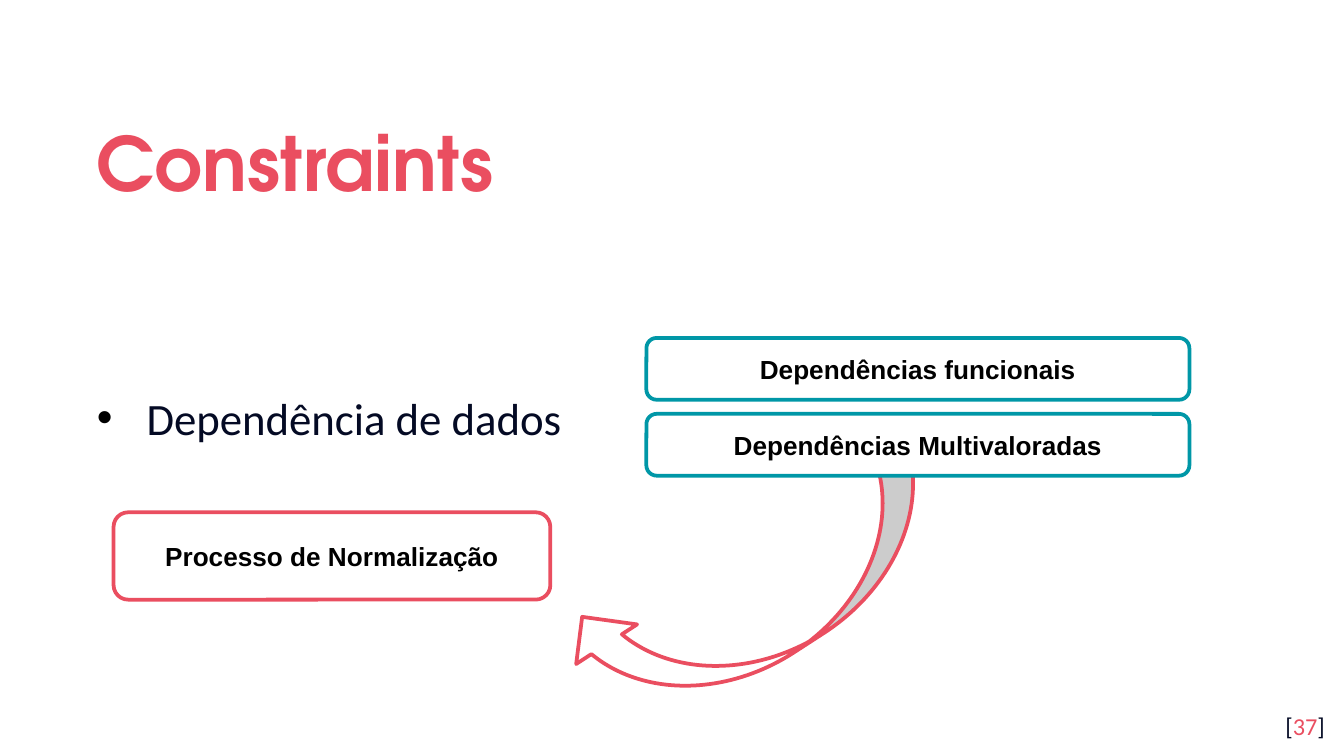
from dataclasses import dataclass

from lxml.etree import SubElement
from pptx import Presentation
from pptx.dml.color import RGBColor
from pptx.enum.shapes import MSO_SHAPE as Preset
from pptx.enum.text import MSO_ANCHOR as Anchor, MSO_AUTO_SIZE as AutoSize, PP_ALIGN as Align
from pptx.oxml.ns import qn
from pptx.util import Inches, Pt

CORAL = RGBColor(0xEA, 0x4E, 0x60)
TEAL = RGBColor(0x00, 0x97, 0xA7)
NAVY = RGBColor(0x04, 0x0A, 0x24)
BLACK = RGBColor(0, 0, 0)
WHITE = RGBColor(0xFF, 0xFF, 0xFF)

CELL = Inches(0.1)  # the grid has 100 columns across the page
PAGE_WIDTH = 100 * CELL
PAGE_HEIGHT = PAGE_WIDTH * 9 // 16


@dataclass(frozen=True)
class Area:
    """A place on the grid, in columns and rows."""
    column: float
    row: float
    columns: float
    rows: float

    def lengths(self) -> list[int]:
        return [round(n * CELL) for n in (self.column, self.row, self.columns, self.rows)]


@dataclass(frozen=True)
class Label:
    text: str
    area: Area
    border: RGBColor


TITLE_AREA = Area(6.2, 6.95, 87.7, 9.2)
BODY_AREA = Area(6.2, 16.2, 87.7, 33.7)
NUMBER_AREA = Area(93.55, 51.95, 6, 4.3)
ARROW_AREA = Area(51.3, 28.5, 10.8, 30.3)
LABELS = [
    Label("Processo de Normalização", Area(8.45, 38.12, 32.5, 6.5), CORAL),
    *(Label(f"Dependências {kind}", Area(48.1, 25.15 + 5.65 * index, 40.4, 4.6), TEAL)
      for index, kind in enumerate(["funcionais", "Multivaloradas"])),
]


def set_all(target, values: dict) -> None:
    for name, value in values.items():
        setattr(target, name, value)


def place(shape, area: Area) -> None:
    set_all(shape, dict(zip(("left", "top", "width", "height"), area.lengths())))


def format_frame(frame, anchor: Anchor, inset: float = 0.1) -> None:
    sides = ("margin_left", "margin_top", "margin_right", "margin_bottom")
    set_all(frame, {"word_wrap": True, "auto_size": AutoSize.NONE, "vertical_anchor": anchor,
                    **dict.fromkeys(sides, Inches(inset))})


def add_span(para, text: str, face: str, size: float, color: RGBColor, bold: bool = False) -> None:
    span = para.add_run()
    span.text = text
    set_all(span.font, {"name": face, "size": Pt(size), "bold": bold})
    span.font.color.rgb = color


def add_bullet(para, indent: float) -> None:
    properties = para._p.get_or_add_pPr()
    properties.set("marL", str(Inches(indent)))
    properties.set("indent", str(-Inches(indent)))
    color = SubElement(properties, qn("a:buClr"))
    SubElement(color, qn("a:srgbClr"), val=str(BLACK))
    SubElement(properties, qn("a:buFont"), typeface="Arial")
    SubElement(properties, qn("a:buChar"), char="•")


def add_outlined(page, preset: Preset, area: Area, border: RGBColor):
    shape = page.shapes.add_shape(preset, *area.lengths())
    shape.shadow.inherit = False
    shape.fill.solid()
    shape.fill.fore_color.rgb = WHITE
    shape.line.color.rgb = border
    shape.line.width = Pt(2)
    return shape


def add_label(page, label: Label) -> None:
    box = add_outlined(page, Preset.ROUNDED_RECTANGLE, label.area, label.border)
    format_frame(box.text_frame, Anchor.MIDDLE, 0.05)
    para = box.text_frame.paragraphs[0]
    para.alignment = Align.CENTER
    add_span(para, label.text, "Arial", 14, BLACK, bold=True)


def fill_title(title) -> None:
    place(title, TITLE_AREA)
    format_frame(title.text_frame, Anchor.MIDDLE)
    para = title.text_frame.paragraphs[0]
    set_all(para, {"alignment": Align.LEFT, "line_spacing": 1.15})
    add_span(para, "Constraints", "TeX Gyre Adventor", 40, CORAL, bold=True)


def fill_body(body) -> None:
    place(body, BODY_AREA)
    format_frame(body.text_frame, Anchor.MIDDLE)
    body.text_frame.margin_bottom = Inches(0.56)  # lifts the line beside the teal labels
    para = body.text_frame.paragraphs[0]
    add_bullet(para, 0.37)
    set_all(para, {"alignment": Align.JUSTIFY, "line_spacing": 1.15, "space_before": Pt(0)})
    add_span(para, "Dependência de dados", "Calibri", 24, NAVY)


def add_page_number(page) -> None:
    box = page.shapes.add_textbox(*NUMBER_AREA.lengths())
    format_frame(box.text_frame, Anchor.TOP)
    para = box.text_frame.paragraphs[0]
    para.alignment = Align.RIGHT
    for text, color in (("[", NAVY), ("37", CORAL), ("]", NAVY)):
        add_span(para, text, "Calibri", 13, color)


def main() -> None:
    deck = Presentation()
    set_all(deck, {"slide_width": PAGE_WIDTH, "slide_height": PAGE_HEIGHT})
    page = deck.slides.add_slide(deck.slide_layouts[1])
    fill_title(page.shapes.title)
    fill_body(page.placeholders[1])
    arrow = add_outlined(page, Preset.CURVED_LEFT_ARROW, ARROW_AREA, CORAL)
    arrow.rotation = 57
    add_page_number(page)
    for label in LABELS:
        add_label(page, label)
    deck.save("out.pptx")


if __name__ == "__main__":
    main()
